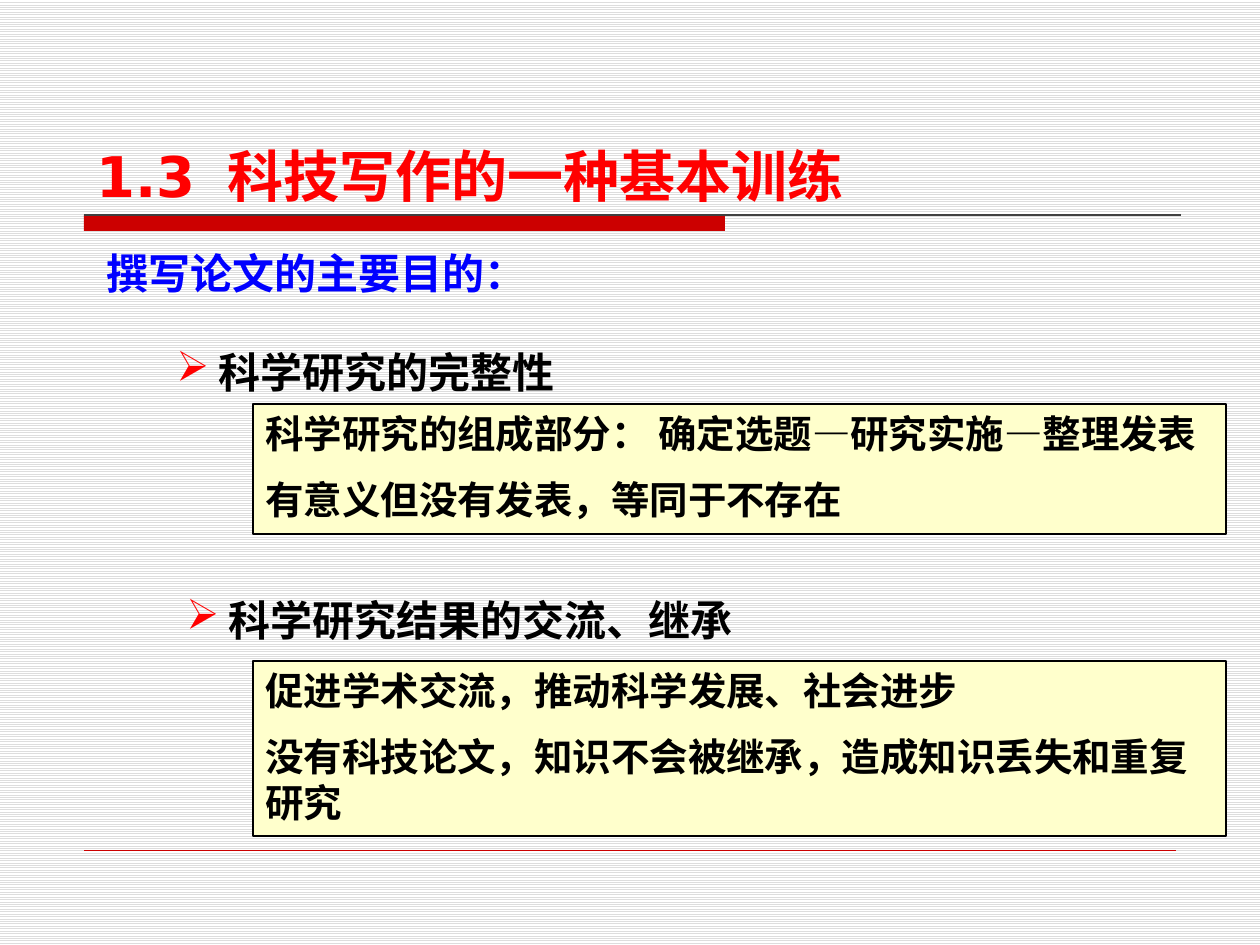
from lxml import etree
from pptx import Presentation
from pptx.dml.color import RGBColor
from pptx.enum.dml import MSO_PATTERN
from pptx.enum.shapes import MSO_CONNECTOR, MSO_SHAPE
from pptx.enum.text import MSO_ANCHOR
from pptx.oxml.ns import qn
from pptx.util import Emu, Pt

RECT = MSO_SHAPE.RECTANGLE
LINE = MSO_CONNECTOR.STRAIGHT
TOP = MSO_ANCHOR.TOP
STRIPES = MSO_PATTERN.LIGHT_HORIZONTAL
PX = 914400 // 126

THEME = {
    "font": "DejaVu Sans",
    "title": 32, "head": 24, "body": 22,
    "red": "FF0000", "blue": "0000FF", "black": "000000",
    "bar": "CC0000", "rule": "404040", "panel": "FFFFCC",
    "stripe": "DDDDDD", "paper": "FFFFFF",
}

# Content: places are left, top, width, height in px
TITLE = ("1.3\t科技写作的一种基本训练", (84, 135, 1062, 81))
LEAD = ("撰写论文的主要目的：", (94, 241, 735, 63))
POINTS = [
    ("科学研究的完整性", (164, 290, 953, 113)),
    ("科学研究结果的交流、继承", (174, 538, 953, 113)),
]
PANELS = [
    (["科学研究的组成部分： 确定选题—研究实施—整理发表",
      "有意义但没有发表，等同于不存在"], (253, 404, 973, 130)),
    (["促进学术交流，推动科学发展、社会进步",
      "没有科技论文，知识不会被继承，造成知识丢失和重复研究"],
     (253, 661, 973, 175)),
]
BAR = (84, 215, 641, 16)
RULES = [  # left, right, y, colour, weight
    (84, 1181, 215, "rule", 0.75),
    (84, 1176, 850, "bar", 0.25),
]
INDENT = 42
TAB = 131


def px(*nums):
    return [Emu(n * PX) for n in nums]


def tone(name):
    return RGBColor.from_string(THEME[name])


def mark(par, color):
    """Give a paragraph an arrow bullet with a hanging indent."""
    ppr = par._p.get_or_add_pPr()
    ppr.set("marL", str(INDENT * PX))
    ppr.set("indent", str(-INDENT * PX))
    clr = etree.SubElement(ppr, qn("a:buClr"))
    etree.SubElement(clr, qn("a:srgbClr"), val=THEME[color])
    etree.SubElement(ppr, qn("a:buChar"), char="➢")


def stop(par, at):
    """Set one left tab stop."""
    tabs = etree.SubElement(par._p.get_or_add_pPr(), qn("a:tabLst"))
    etree.SubElement(tabs, qn("a:tab"), pos=str(at * PX), algn="l")


def write(lines, place=None, shape=None, size="head", color="black",
          gap=0, space=None, bullet=None, tab=None):
    """Write paragraphs into a shape, or into a new text box."""
    shape = shape or slide.shapes.add_textbox(*px(*place))
    frame = shape.text_frame
    frame.word_wrap = True
    frame.vertical_anchor = TOP
    for i, line in enumerate(lines):
        par = frame.paragraphs[0] if i == 0 else frame.add_paragraph()
        if bullet:
            mark(par, bullet)
        if tab:
            stop(par, tab)
        if i:
            par.space_before = Pt(gap)
        if space:
            par.line_spacing = space
        run = par.add_run()
        run.text = line
        font = run.font
        font.name, font.size, font.bold = THEME["font"], Pt(THEME[size]), True
        font.color.rgb = tone(color)
        par.alignment = 1


def block(place, fill, edge=None):
    shape = slide.shapes.add_shape(RECT, *px(*place))
    shape.shadow.inherit = False
    shape.fill.solid()
    shape.fill.fore_color.rgb = tone(fill)
    if edge:
        shape.line.color.rgb = tone(edge)
        shape.line.width = Pt(0.75)
    else:
        shape.line.fill.background()
    return shape


def rule(left, right, y, color, weight):
    line = slide.shapes.add_connector(LINE, *px(left, y, right, y))
    line.line.color.rgb = tone(color)
    line.line.width = Pt(weight)
    etree.SubElement(line._element.spPr, qn("a:effectLst"))


# Slide and striped background
deck = Presentation()
deck.slide_width, deck.slide_height = px(1260, 945)
slide = deck.slides.add_slide(deck.slide_layouts[6])
back = slide.background.fill
back.patterned()
back.pattern = STRIPES
back.fore_color.rgb = tone("stripe")
back.back_color.rgb = tone("paper")

# Title bar and rules
block(BAR, "bar")
for item in RULES:
    rule(*item)

# Title and lead
write([TITLE[0]], TITLE[1], size="title", color="red", tab=TAB)
write([LEAD[0]], LEAD[1], color="blue")

# Points and their panels
for text, place in POINTS:
    write([text], place, space=2.0, bullet="red")
for lines, place in PANELS:
    write(lines, shape=block(place, "panel", "black"), size="body", gap=11)

deck.save("out.pptx")
